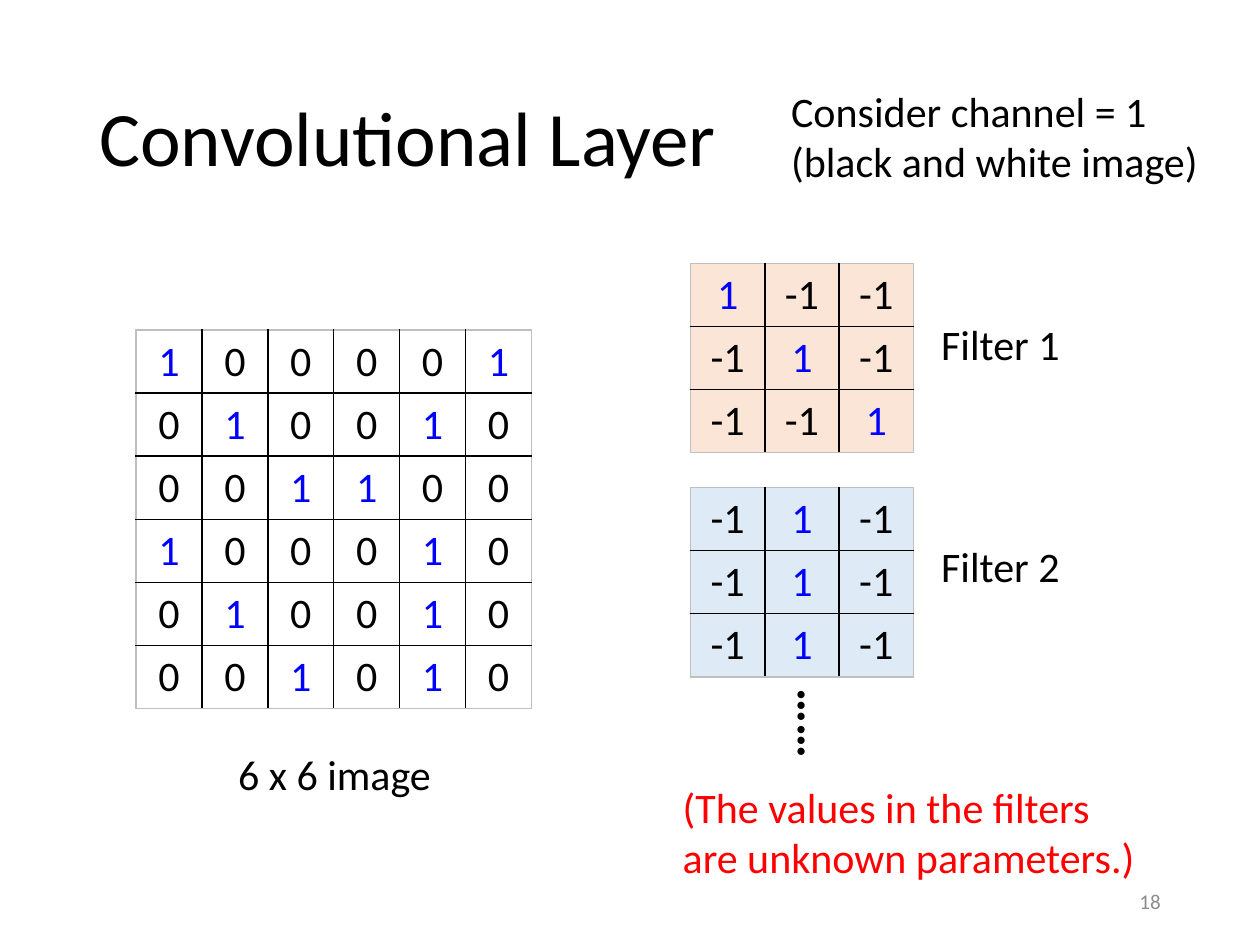
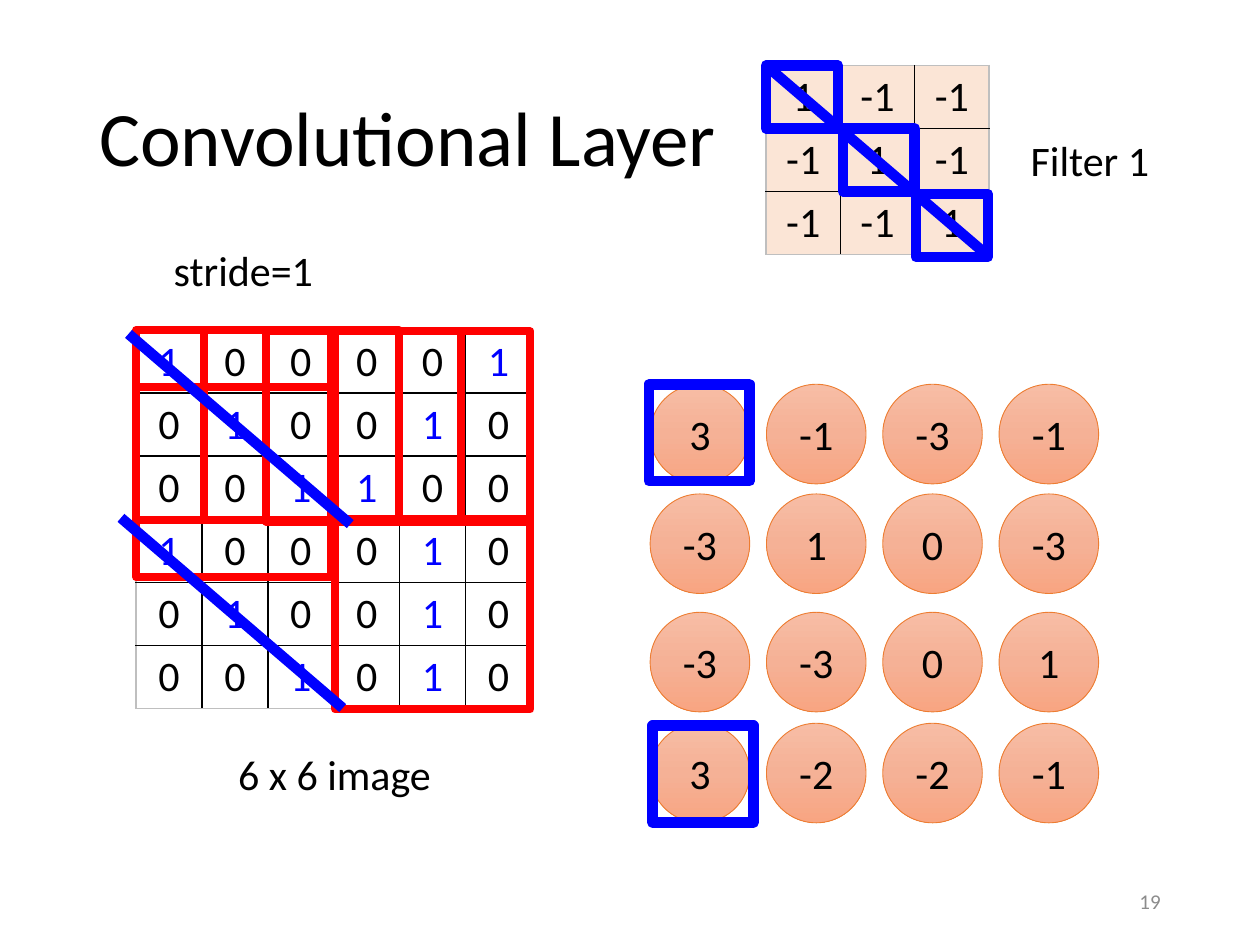
from copy import deepcopy

from lxml.etree import SubElement
from pptx import Presentation
from pptx.dml.color import RGBColor
from pptx.enum.shapes import MSO_CONNECTOR as Connector, MSO_SHAPE as Preset
from pptx.enum.text import MSO_ANCHOR as Anchor, PP_ALIGN as Align
from pptx.oxml.ns import qn
from pptx.util import Inches, Pt

COLORS = {
    "text": "000000", "one": "0000FF", "warning": "FF0000", "number": "8C8C8C",
    "edge": "BFBFBF", "filter 1": "FBE5D6", "filter 2": "DEEBF7",
    "circle top": "F7BDA5", "circle middle": "F5B196",
    "circle bottom": "F8A582", "circle line": "ED7D31",
}
FONT = "Calibri"

presentation = Presentation()
presentation.slide_width, presentation.slide_height = Inches(10), Inches(7.5)
UNIT = presentation.slide_width // 100  # the slide is 100 columns by 75 rows


def grid(*lengths):
    return [round(length * UNIT) for length in lengths]


def add_text(holder, text, size=24, color="text", align=Align.CENTER,
             anchor=Anchor.TOP, bold=False, spacing=None, wrap=True):
    frame = holder.text_frame
    frame.word_wrap = wrap
    frame.vertical_anchor = anchor
    for index, line in enumerate(text.split("\n")):
        paragraph = frame.paragraphs[0] if index == 0 else frame.add_paragraph()
        paragraph.alignment = align
        paragraph.line_spacing = spacing
        run = paragraph.add_run()
        run.text = line
        run.font.name, run.font.size, run.font.bold = FONT, Pt(size), bold
        run.font.color.rgb = RGBColor.from_string(COLORS[color])


# Shared title, image caption and slide number
slides = []
for number in (18, 19):
    slide = presentation.slides.add_slide(presentation.slide_layouts[6])
    slides.append(slide)
    add_text(slide.shapes.add_textbox(*grid(6.9, 4, 86.2, 14.5)),
             "Convolutional Layer", size=44, align=Align.LEFT,
             anchor=Anchor.MIDDLE, spacing=0.9)
    add_text(slide.shapes.add_textbox(*grid(13.7, 58.9, 25.7, 5)), "6 x 6 image")
    add_text(slide.shapes.add_textbox(*grid(70.6, 69.5, 22.5, 4)), str(number),
             size=12, color="number", align=Align.RIGHT, anchor=Anchor.MIDDLE)
layer_slide, stride_slide = slides

# Matrices: slide, left, top, column width, values, fill, colour of ones
IMAGE = ["1 0 0 0 0 1", "0 1 0 0 1 0", "0 0 1 1 0 0",
         "1 0 0 0 1 0", "0 1 0 0 1 0", "0 0 1 0 1 0"]
DIAGONAL = ["1 -1 -1", "-1 1 -1", "-1 -1 1"]
VERTICAL = ["-1 1 -1"] * 3
matrices = [
    (layer_slide, 10.8, 26.2, 5.23, IMAGE, None, "one"),
    (layer_slide, 54.8, 20.9, 5.9, DIAGONAL, "filter 1", "one"),
    (layer_slide, 54.8, 38.7, 5.9, VERTICAL, "filter 2", "one"),
    (stride_slide, 10.8, 26.2, 5.23, IMAGE, None, "one"),
    (stride_slide, 60.8, 5.2, 5.9, DIAGONAL, "filter 1", "text"),
]
for slide, left, top, column_width, values, fill, one_color in matrices:
    count = len(values)
    table = slide.shapes.add_table(
        count, count, *grid(left, top, column_width * count, 5 * count)).table
    table.first_row = table.horz_banding = False
    for index in range(count):
        table.columns[index].width, table.rows[index].height = grid(column_width, 5)
    for row, line in enumerate(values):
        for column, value in enumerate(line.split()):
            cell = table.cell(row, column)
            add_text(cell, value, color=one_color if value == "1" else "text")
            outer = {"L": column == 0, "R": column == count - 1,
                     "T": row == 0, "B": row == count - 1}
            properties = cell._tc.get_or_add_tcPr()
            for side, is_outer in outer.items():
                border = SubElement(properties, qn(f"a:ln{side}"), w=str(Pt(1)))
                solid = SubElement(border, qn("a:solidFill"))
                SubElement(solid, qn("a:srgbClr"),
                           val=COLORS["edge" if is_outer else "text"])
            if fill:
                cell.fill.solid()
                cell.fill.fore_color.rgb = RGBColor.from_string(COLORS[fill])
            else:
                cell.fill.background()

# Labels: slide, box, text, format
labels = [
    (layer_slide, (71.5, 24.8, 15.8, 5), "Filter 1", {}),
    (layer_slide, (71.5, 42.4, 15.8, 5), "Filter 2", {}),
    (layer_slide, (53.2, 61.5, 38.7, 9.1),
     "(The values in the filters are unknown parameters.)",
     {"color": "warning", "align": Align.LEFT}),
    (layer_slide, (61.8, 6.3, 35.2, 9.1),
     "Consider channel = 1\n(black and white image)", {"align": Align.LEFT}),
    (stride_slide, (78.6, 10.2, 15.8, 5), "Filter 1", {}),
    (stride_slide, (12.8, 18.9, 13.2, 5), "stride=1",
     {"align": Align.LEFT, "wrap": False}),
]
for slide, box, text, text_format in labels:
    add_text(slide.shapes.add_textbox(*grid(*box)), text, **text_format)

more_filters = layer_slide.shapes.add_textbox(*grid(61, 54.7, 7.7, 5.7))
more_filters.rotation = 90
add_text(more_filters, "……", size=28, align=Align.LEFT, bold=True)

# Feature map: a 4 by 4 grid of circles
FEATURE_ROWS = [(30.5, "3 -1 -3 -1"), (39.2, "-3 1 0 -3"),
                (48.6, "-3 -3 0 1"), (57.4, "3 -2 -2 -1")]
for top, line in FEATURE_ROWS:
    for column, value in enumerate(line.split()):
        circle = stride_slide.shapes.add_shape(
            Preset.OVAL, *grid(51.6 + 9.23 * column, top, 7.9, 7.9))
        circle.shadow.inherit = False
        circle.fill.gradient()
        circle.fill.gradient_angle = 270
        stop_list = circle._element.spPr.find(qn("a:gradFill")).find(qn("a:gsLst"))
        middle_stop = deepcopy(stop_list[0])
        stop_list.insert(1, middle_stop)
        middle_stop.set("pos", "50000")
        for stop, shade in zip(circle.fill.gradient_stops, ("top", "middle", "bottom")):
            stop.color.rgb = RGBColor.from_string(COLORS[f"circle {shade}"])
        circle.line.color.rgb = RGBColor.from_string(COLORS["circle line"])
        circle.line.width = Pt(0.5)
        add_text(circle, value, anchor=Anchor.MIDDLE)

# Frames: red windows on the image, blue matches on filter and feature map
frame_groups = [
    ("warning", 4.5, (15.5, 15.1),
     [(10.8, 26.2), (16.2, 26.2), (21.1, 26.3), (26.6, 26.3),
      (10.8, 30.7), (26.6, 41.2)]),
    ("one", 6, (5.7, 5), [(60.8, 5.2), (66.9, 10.2), (72.7, 15.4)]),
    ("one", 6, (8, 7.7), [(51.5, 30.5), (51.8, 57.6)]),
]
for color, line_width, size, corners in frame_groups:
    for corner in corners:
        window = stride_slide.shapes.add_shape(Preset.RECTANGLE, *grid(*corner, *size))
        window.shadow.inherit = False
        window.fill.background()
        window.line.color.rgb = RGBColor.from_string(COLORS[color])
        window.line.width = Pt(line_width)

# Diagonals through the matching ones
for left, top in [(60.8, 5.2), (10.2, 26.5), (9.6, 41.1)]:
    diagonal = stride_slide.shapes.add_connector(
        Connector.STRAIGHT, *grid(left, top, left + 17.6, top + 15.1))
    diagonal.line.color.rgb = RGBColor.from_string(COLORS["one"])
    diagonal.line.width = Pt(6)
    SubElement(diagonal._element.spPr, qn("a:effectLst"))

presentation.save("out.pptx")
